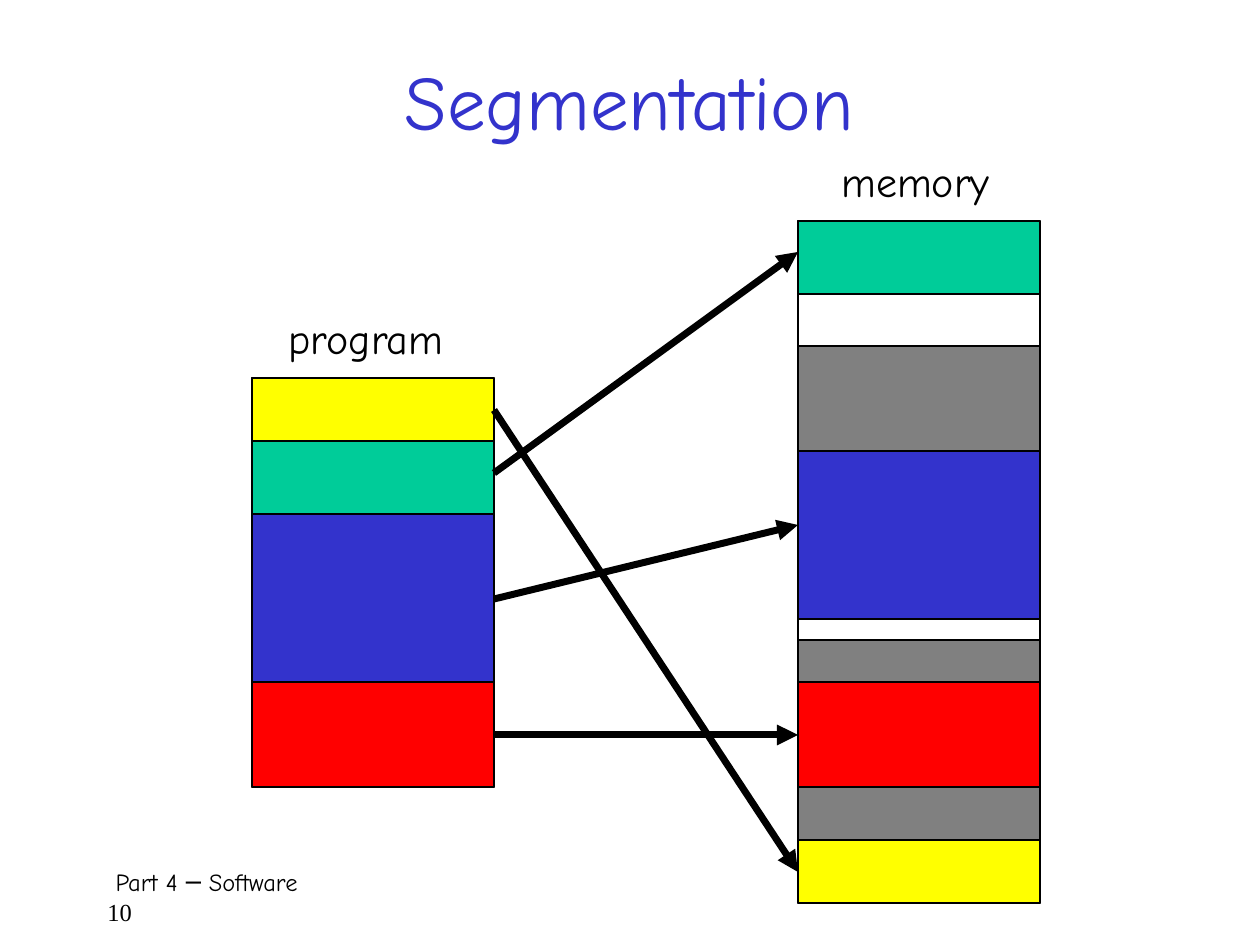
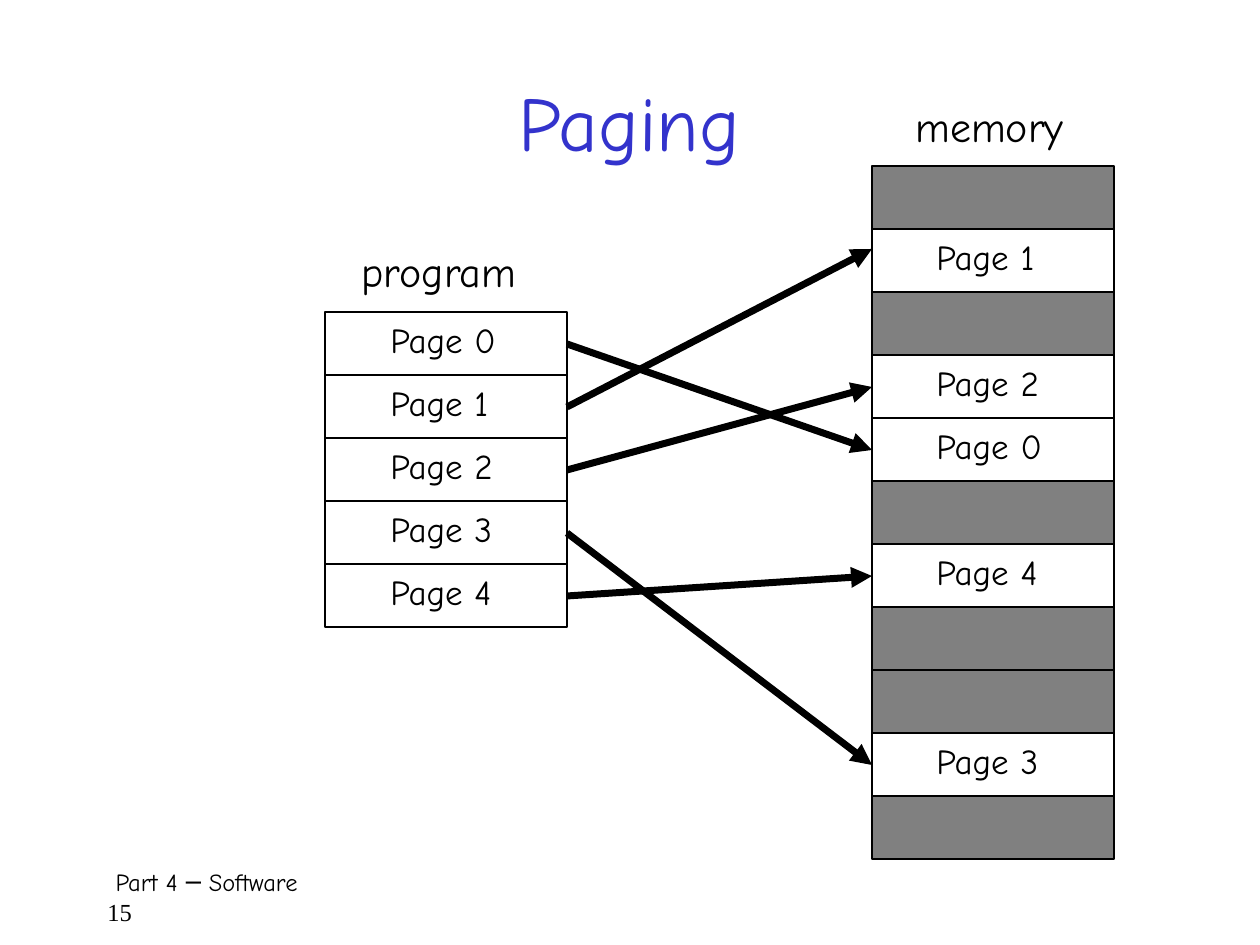
"""Builds two slides that show segmentation and paging of a program in memory."""
from pptx import Presentation
from pptx.dml.color import RGBColor
from pptx.enum.shapes import MSO_CONNECTOR, MSO_SHAPE
from pptx.enum.text import MSO_ANCHOR, MSO_AUTO_SIZE, PP_ALIGN
from pptx.oxml.ns import qn
from pptx.util import Emu, Pt
from lxml import etree

RECTANGLE = MSO_SHAPE.RECTANGLE
STRAIGHT = MSO_CONNECTOR.STRAIGHT
MIDDLE = MSO_ANCHOR.MIDDLE
CENTER = PP_ALIGN.CENTER
FIT_SHAPE = MSO_AUTO_SIZE.SHAPE_TO_FIT_TEXT

BLACK = RGBColor(0x00, 0x00, 0x00)
BLUE = RGBColor(0x33, 0x33, 0xCC)
YELLOW = RGBColor(0xFF, 0xFF, 0x00)
GREEN = RGBColor(0x00, 0xCC, 0x99)
RED = RGBColor(0xFF, 0x00, 0x00)
GRAY = RGBColor(0x80, 0x80, 0x80)

FONT = "Comic Neue"
NUMBER_FONT = "Times New Roman"
BLOCK_WIDTH = 242
PAGE_HEIGHT = 63


def px(length):
    """Turn pixels into EMU at 126 pixels to the inch."""
    return Emu(round(length * 914400 / 126))


class Deck:
    """Holds the shared style and the current slide."""

    def __init__(self):
        """Open an empty presentation of 10 by 7.5 inches."""
        self.presentation = Presentation()
        self.presentation.slide_width = px(1260)
        self.presentation.slide_height = px(945)
        self.slide = None

    def start(self, title, title_top, number):
        """Add a slide with its title and footer."""
        layout = self.presentation.slide_layouts[5]
        self.slide = self.presentation.slides.add_slide(layout)
        heading = self.slide.shapes.title
        heading.left, heading.top = px(94), px(title_top)
        heading.width, heading.height = px(1071), px(158)
        heading.text_frame.text = title
        heading.text_frame.vertical_anchor = MIDDLE
        paragraph = heading.text_frame.paragraphs[0]
        paragraph.alignment = CENTER
        self.style(paragraph.font, 44, BLUE)
        self.footer(number)

    def style(self, font, size, color=BLACK, name=FONT):
        """Set name, size and colour of a font."""
        font.name, font.size = name, Pt(size)
        font.color.rgb = color

    def footer(self, number):
        """Write the part name with the slide number below it."""
        box = self.slide.shapes.add_textbox(px(95), px(861), px(1081), px(63))
        box.text_frame.word_wrap = True
        paragraph = box.text_frame.paragraphs[0]
        part = paragraph.add_run()
        part.text = " Part 4 ─ Software"
        self.style(part.font, 14)
        paragraph.add_line_break()
        page = paragraph.add_run()
        page.text = str(number)
        self.style(page.font, 14, name=NUMBER_FONT)

    def label(self, text, left, top, width, height, size):
        """Write one unwrapped line of text."""
        box = self.slide.shapes.add_textbox(px(left), px(top), px(width), px(height))
        box.text_frame.word_wrap = False
        box.text_frame.auto_size = FIT_SHAPE
        paragraph = box.text_frame.paragraphs[0]
        paragraph.text = text
        self.style(paragraph.font, size)

    def block(self, left, top, height, color=None):
        """Draw an outlined block, filled if a colour is given."""
        block = self.slide.shapes.add_shape(
            RECTANGLE, px(left), px(top), px(BLOCK_WIDTH), px(height))
        block.shadow.inherit = False
        if color is None:
            block.fill.background()
        else:
            block.fill.solid()
            block.fill.fore_color.rgb = color
        block.line.color.rgb = BLACK
        block.line.width = Pt(0.75)

    def segments(self, left, top, parts):
        """Stack coloured segments and frame them; None leaves a gap."""
        bottom = top
        for height, color in parts:
            if color is not None:
                self.block(left, bottom, height, color)
            bottom += height
        self.block(left, top, bottom - top)

    def pages(self, left, top, label_left, numbers):
        """Stack equal pages; None stands for a page in other use."""
        for row, number in enumerate(numbers):
            page_top = top + row * PAGE_HEIGHT
            self.block(left, page_top, PAGE_HEIGHT, GRAY if number is None else None)
            if number is not None:
                self.label(f"Page {number}", label_left, page_top, 131, 62, 20)

    def arrow(self, start_x, start_y, end_x, end_y):
        """Draw a thick arrow from the program to memory."""
        arrow = self.slide.shapes.add_connector(
            STRAIGHT, px(start_x), px(start_y), px(end_x), px(end_y))
        arrow.line.color.rgb = BLACK
        arrow.line.width = Pt(4)
        properties = arrow.element.spPr
        etree.SubElement(properties.find(qn("a:ln")), qn("a:tailEnd"), type="triangle")
        etree.SubElement(properties, qn("a:effectLst"))


deck = Deck()

deck.start("Segmentation", 21, 10)
deck.label("program", 276, 306, 186, 72, 24)
deck.label("memory", 829, 149, 178, 72, 24)
deck.segments(252, 378, [(63, YELLOW), (73, GREEN), (168, BLUE), (105, RED)])
deck.segments(798, 221, [
    (73, GREEN), (52, None), (105, GRAY), (168, BLUE), (21, None),
    (42, GRAY), (105, RED), (53, GRAY), (63, YELLOW)])
for segment_y, memory_y in [(410, 872), (473, 252), (599, 525), (735, 735)]:
    deck.arrow(494, segment_y, 798, memory_y)

deck.start("Paging", 42, 15)
deck.label("program", 349, 239, 186, 72, 24)
deck.label("memory", 903, 94, 178, 72, 24)
deck.pages(325, 312, 378, range(5))
deck.pages(872, 166, 924, [None, 1, None, 2, 0, None, 4, None, None, 3, None])
for page, memory_y in enumerate([450, 249, 387, 765, 576]):
    deck.arrow(567, 344 + page * PAGE_HEIGHT, 872, memory_y)

deck.presentation.save("out.pptx")
